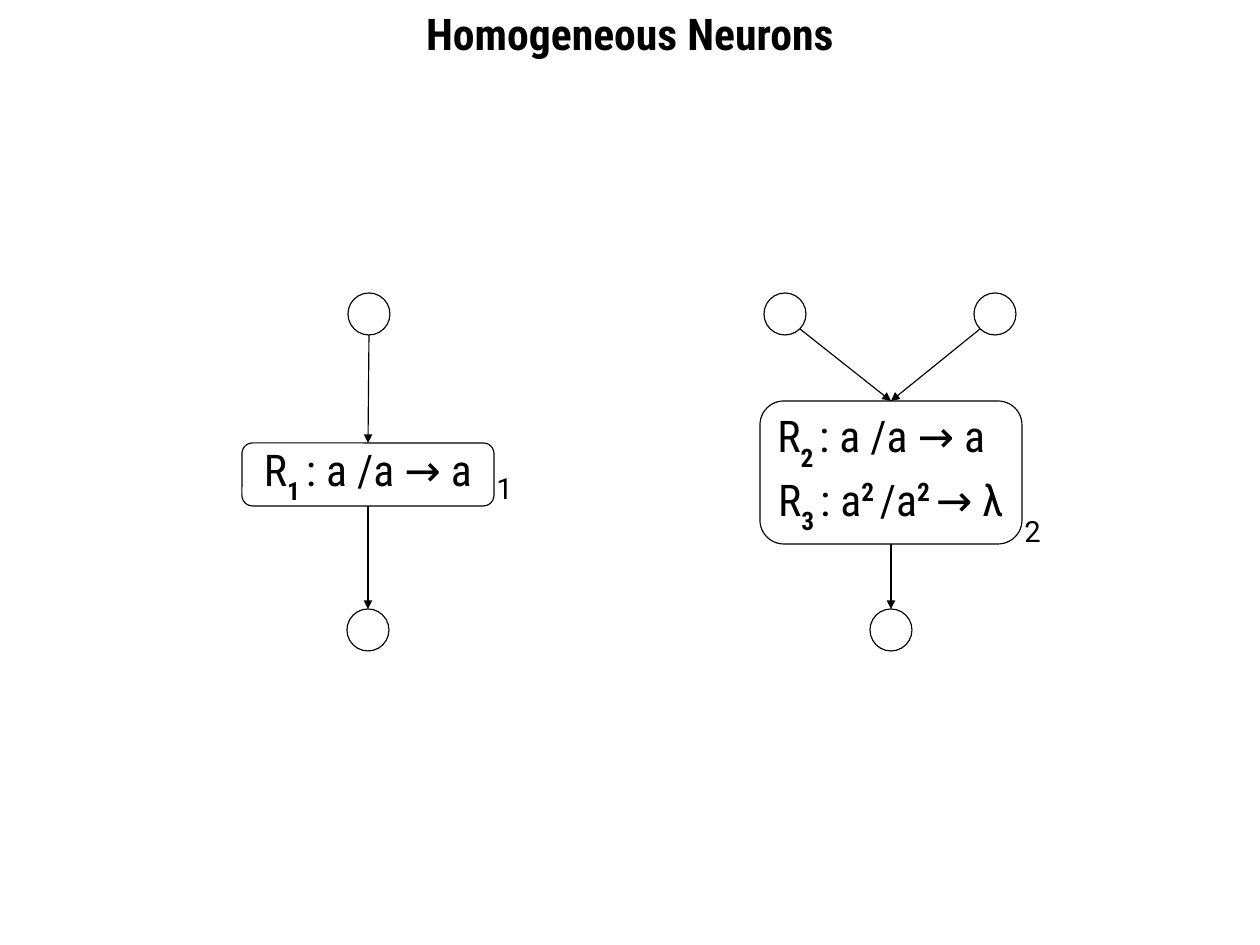
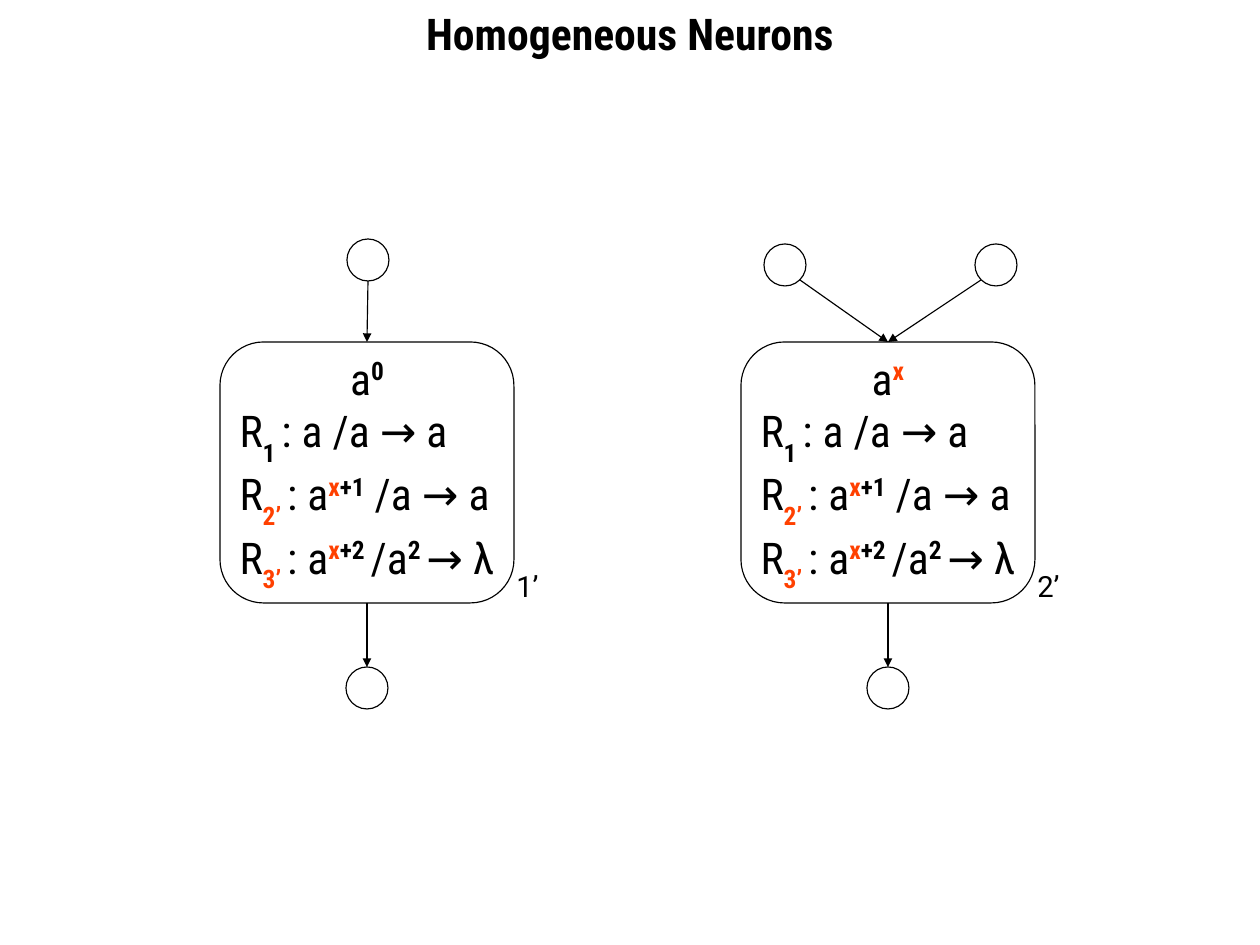
from lxml import etree
from pptx import Presentation
from pptx import util as u
from pptx.dml.color import RGBColor
from pptx.enum import shapes, text
from pptx.oxml.ns import qn

INK = RGBColor(0x00, 0x00, 0x00)
MARK = RGBColor(0xFF, 0x40, 0x00)
HEAD = "Roboto Condensed"
BODY = "Roboto"
DOT = 42
DIAG = 15
SUB, SUP = -33, 33

FIRE = [("R",), ("1 ", SUB), (": a /a → a",)]
FIRE_TWO = [("R",), ("2 ", SUB), (": a /a → a",)]
FORGET = [("R",), ("3 ", SUB), (": a",), ("2 ", SUP), ("/a",), ("2 ", SUP), ("→ λ",)]
SHARED = [
    FIRE,
    [("R",), ("2’ ", SUB, MARK), (": a",), ("x", SUP, MARK), ("+1", SUP), (" /a → a",)],
    [("R",), ("3’ ", SUB, MARK), (": a",), ("x", SUP, MARK), ("+2 ", SUP),
     ("/a",), ("2 ", SUP), ("→ λ",)],
]
ZERO = [("a",), ("0", SUP)]
LOAD = [("a",), ("x", SUP, MARK)]

MID, LEFT = text.PP_ALIGN.CENTER, text.PP_ALIGN.LEFT
SLIDES = [
    [
        dict(box=(242, 443, 252, 63), rules=[FIRE], sides=[MID], name="1",
             feeds=[127], top=293, low=609, rise=41),
        dict(box=(760, 401, 262, 143), rules=[FIRE_TWO, FORGET], sides=[LEFT, MID], name="2",
             feeds=[25, 235], top=293, low=609, rise=36),
    ],
    [
        dict(box=(220, 342, 294, 261), rules=[ZERO] + SHARED, sides=[MID, LEFT, LEFT, MID],
             name="1’", feeds=[148], top=239, low=667, rise=40),
        dict(box=(741, 342, 294, 261), rules=[LOAD] + SHARED, sides=[MID, LEFT, LEFT, MID],
             name="2’", feeds=[44, 255], top=244, low=667, rise=40),
    ],
]


def px(*nums):
    """Turn pixels into a list of EMU lengths."""
    return [u.Inches(n / 105) for n in nums]


def style(run, size, face, bold=False, color=INK):
    """Format one run."""
    font = run.font
    font.size, font.name, font.bold = u.Pt(size), face, bold
    font.color.rgb = color


def label(slide, box, words, size, face, bold=False, side=LEFT):
    """Place a one-line text box."""
    frame = slide.shapes.add_textbox(*px(*box)).text_frame
    frame.word_wrap = True
    frame.text = words
    para = frame.paragraphs[0]
    para.alignment = side
    style(para.runs[0], size, face, bold)


def outline(slide, kind, box):
    """Draw an unfilled shape with a thin line."""
    shape = slide.shapes.add_shape(kind, *px(*box))
    shape.shadow.inherit = False
    shape.fill.background()
    shape.line.color.rgb = INK
    shape.line.width = u.Pt(0.79)
    return shape


def arrow(slide, start, end):
    """Draw a straight arrow between two points."""
    link = slide.shapes.add_connector(shapes.MSO_CONNECTOR.STRAIGHT, *px(*start, *end))
    link.line.color.rgb = INK
    link.line.width = u.Pt(0.79)
    etree.SubElement(link.line._get_or_add_ln(), qn("a:tailEnd"), type="triangle")
    etree.SubElement(link._element.spPr, qn("a:effectLst"))


def dot(slide, mid, top):
    """Draw a small cell centred on mid."""
    outline(slide, shapes.MSO_SHAPE.OVAL, (mid - DOT // 2, top, DOT, DOT))


def write(para, parts, side):
    """Fill a paragraph with raised, lowered and plain runs."""
    para.alignment = side
    for words, base, color in ((p + (0, INK)[len(p) - 1:] for p in parts)):
        run = para.add_run()
        run.text = words
        style(run, 30, HEAD, base != 0, color)
        if base:
            run._r.get_or_add_rPr().set("baseline", str(base * 1000))


def neuron(slide, box, rules, sides, name, feeds, top, low, rise):
    """Draw a neuron with its rules, name, input cells and output cell."""
    left, head, wide, tall = box
    mid, foot = left + wide // 2, head + tall
    body = outline(slide, shapes.MSO_SHAPE.ROUNDED_RECTANGLE, box)
    body.adjustments[0] = 0.167
    frame = body.text_frame
    frame.word_wrap = False
    frame.vertical_anchor = text.MSO_ANCHOR.MIDDLE
    for i, (parts, side) in enumerate(zip(rules, sides)):
        write(frame.add_paragraph() if i else frame.paragraphs[0], parts, side)
    label(slide, (left + wide - 8, foot - rise, 32 + 9 * len(name), 49), name, 20, BODY)
    for feed in feeds:
        spot = left + feed
        dot(slide, spot, top)
        if len(feeds) == 1:
            start = spot, top + DOT
        else:
            shift = DIAG if spot < mid else -DIAG
            start = spot + shift, top + DOT // 2 + DIAG
        arrow(slide, start, (mid, head))
    dot(slide, mid, low)
    arrow(slide, (mid, foot), (mid, low))


def main():
    """Build and save the slides."""
    deck = Presentation()
    deck.slide_width, deck.slide_height = px(1260, 945)
    for cells in SLIDES:
        slide = deck.slides.add_slide(deck.slide_layouts[6])
        label(slide, (0, 2, 1260, 68), "Homogeneous Neurons", 30, HEAD, True, MID)
        for cell in cells:
            neuron(slide, **cell)
    deck.save("out.pptx")


if __name__ == "__main__":
    main()
